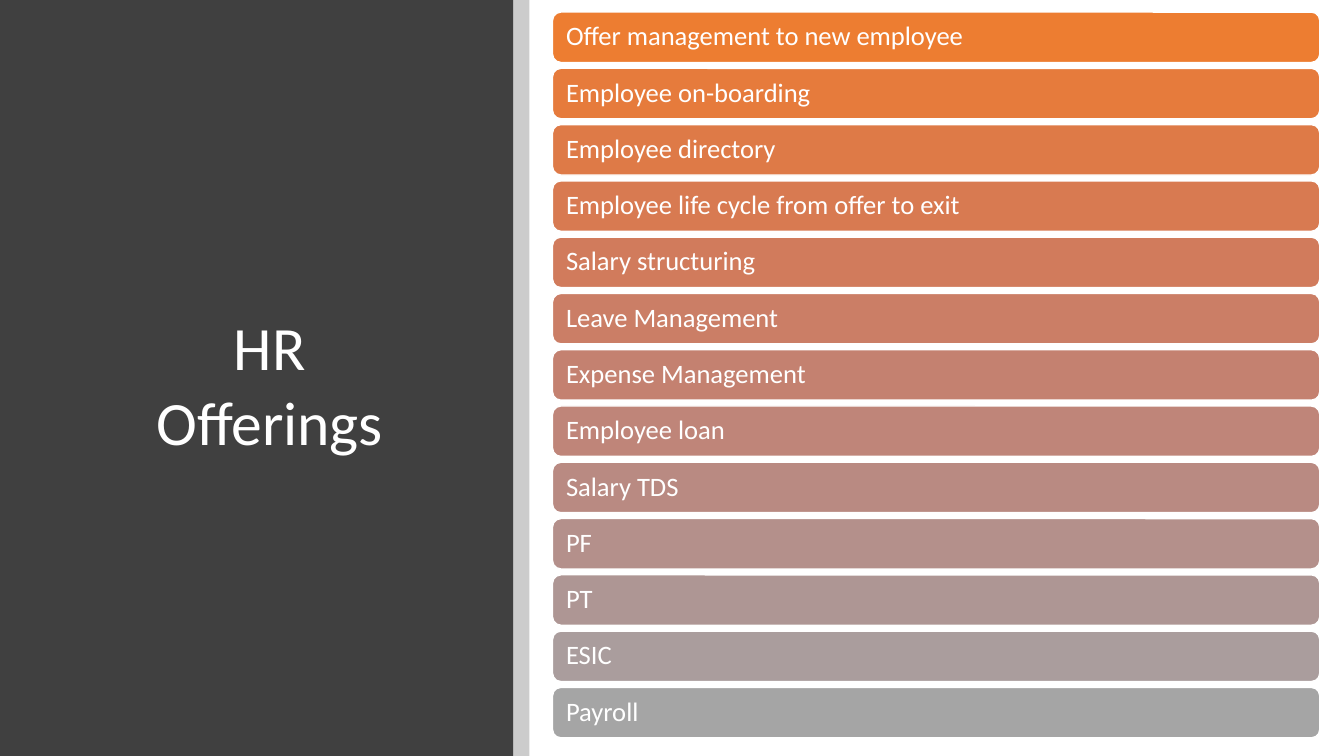
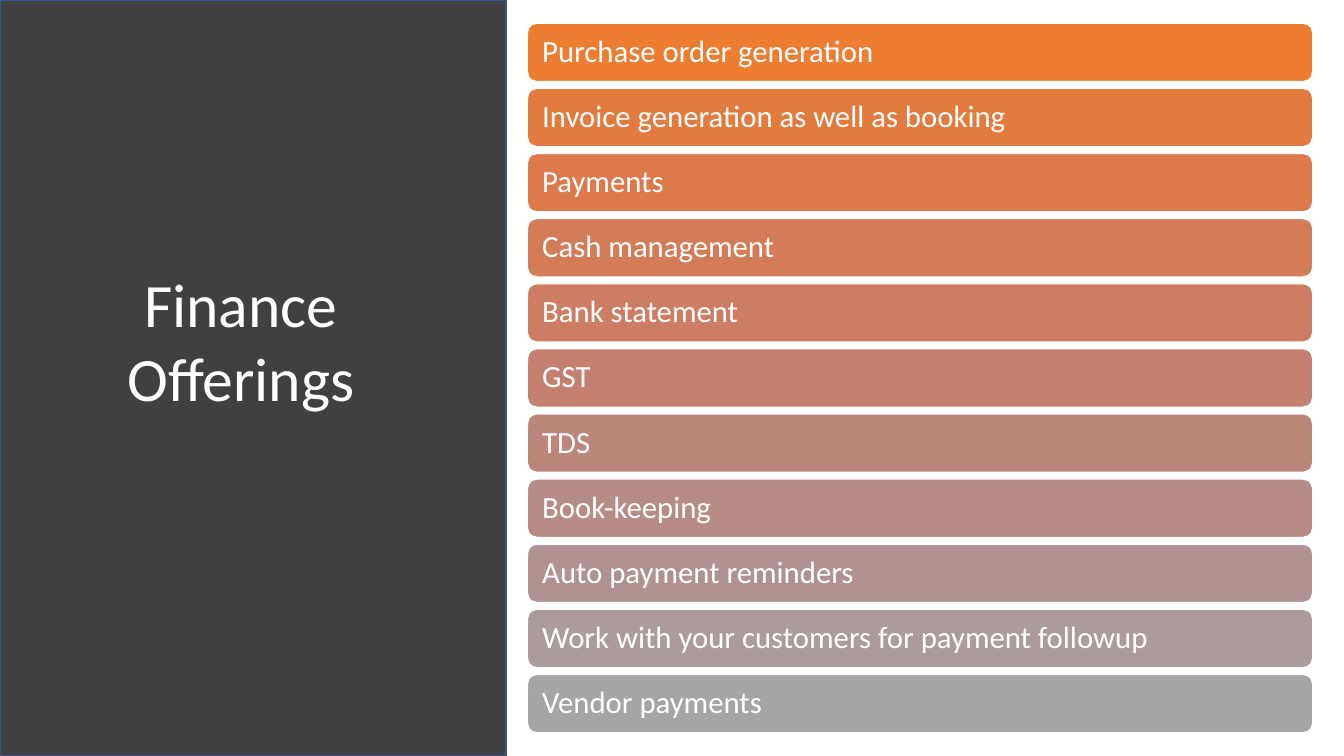
import colorsys

from pptx import Presentation
from pptx.dml.color import RGBColor
from pptx.enum import shapes, text
from pptx.oxml import ns
from pptx.util import Inches, Pt
from lxml import etree

FONT = "Calibri"
WHITE = RGBColor(0xFF, 0xFF, 0xFF)
BLACK = RGBColor(0x00, 0x00, 0x00)
CHARCOAL = RGBColor(0x40, 0x40, 0x40)
NAVY = RGBColor(0x32, 0x54, 0x91)
ORANGE = RGBColor(0xED, 0x7D, 0x31)
GREY = RGBColor(0xA5, 0xA5, 0xA5)

OFFERINGS = [
    {
        "title": ["HR ", "Offerings "],
        "title_box": (0.92, 0.89, 3.65, 5.91),
        "title_anchor": text.MSO_ANCHOR.MIDDLE,
        "title_format": {"line_spacing": 0.9, "space_after": Pt(6)},
        "panel_width": 5.09,
        "panel_line": None,
        "divider_width": 0.16,
        "bar": (5.48, 7.61, 0.5),
        "first_top": 0.12,
        "last_top": 6.82,
        "inset": 0.11,
        "size": 19,
        "items": [
            "Offer management to new employee",
            "Employee on-boarding",
            "Employee directory",
            "Employee life cycle from offer to exit",
            "Salary structuring",
            "Leave Management",
            "Expense Management",
            "Employee loan",
            "Salary TDS",
            "PF",
            "PT",
            "ESIC",
            "Payroll",
        ],
    },
    {
        "title": ["Finance Offerings"],
        "title_box": (0.8, 2.59, 3.18, 2.32),
        "title_anchor": text.MSO_ANCHOR.TOP,
        "title_format": {},
        "panel_width": 5.02,
        "panel_line": NAVY,
        "divider_width": 0,
        "bar": (5.23, 7.79, 0.58),
        "first_top": 0.23,
        "last_top": 6.69,
        "inset": 0.12,
        "size": 22,
        "items": [
            "Purchase order generation",
            "Invoice generation as well as booking",
            "Payments",
            "Cash management",
            "Bank statement",
            "GST",
            "TDS",
            "Book-keeping",
            "Auto payment reminders",
            "Work with your customers for payment followup",
            "Vendor payments",
        ],
    },
]


def add_block(slide, kind, box, fill, line=None):
    block = slide.shapes.add_shape(kind, *(Inches(side) for side in box))
    block.shadow.inherit = False
    block.fill.solid()
    block.fill.fore_color.rgb = fill
    if line is None:
        block.line.fill.background()
    else:
        block.line.color.rgb = line
        block.line.width = Pt(1)
    return block


def write(paragraph, wording, size, **paragraph_format):
    for attribute, value in paragraph_format.items():
        setattr(paragraph, attribute, value)
    run = paragraph.add_run()
    run.text = wording
    for attribute, value in {"name": FONT, "size": Pt(size)}.items():
        setattr(run.font, attribute, value)
    run.font.color.rgb = WHITE


prs = Presentation()
prs.slide_width = Inches(13.33)
prs.slide_height = Inches(7.5)

# The bars fade from orange to grey in even hue, lightness and saturation steps.
fade_start, fade_end = (
    colorsys.rgb_to_hls(*(channel / 255 for channel in colour)) for colour in (ORANGE, GREY)
)

for offering in OFFERINGS:
    slide = prs.slides.add_slide(prs.slide_layouts[6])
    panel_width = offering["panel_width"]
    add_block(slide, shapes.MSO_SHAPE.RECTANGLE, (0, 0, panel_width, 7.5),
              CHARCOAL, offering["panel_line"])

    title = slide.shapes.add_textbox(*(Inches(side) for side in offering["title_box"])).text_frame
    title.word_wrap = True
    title.vertical_anchor = offering["title_anchor"]
    for number, wording in enumerate(offering["title"]):
        paragraph = title.add_paragraph() if number else title.paragraphs[0]
        write(paragraph, wording, 44, alignment=text.PP_ALIGN.CENTER, **offering["title_format"])

    if offering["divider_width"]:
        divider = add_block(slide, shapes.MSO_SHAPE.RECTANGLE,
                            (panel_width, 0, offering["divider_width"], 7.5), BLACK)
        colour = divider.fill._xPr.find(".//" + ns.qn("a:srgbClr"))
        etree.SubElement(colour, ns.qn("a:alpha"), val="20000")

    left, width, height = offering["bar"]
    steps = len(offering["items"]) - 1
    pitch = (offering["last_top"] - offering["first_top"]) / steps
    for number, item in enumerate(offering["items"]):
        share = number / steps
        hls = (a + (b - a) * share for a, b in zip(fade_start, fade_end))
        fill = RGBColor(*(round(channel * 255) for channel in colorsys.hls_to_rgb(*hls)))
        top = offering["first_top"] + number * pitch
        bar = add_block(slide, shapes.MSO_SHAPE.ROUNDED_RECTANGLE,
                        (left, top, width, height), fill, WHITE)
        frame = bar.text_frame
        frame.word_wrap = True
        frame.vertical_anchor = text.MSO_ANCHOR.MIDDLE
        for side in ("left", "right", "top", "bottom"):
            setattr(frame, f"margin_{side}", Inches(offering["inset"]))
        write(frame.paragraphs[0], item, offering["size"],
              alignment=text.PP_ALIGN.LEFT, line_spacing=0.9)

prs.save("out.pptx")
